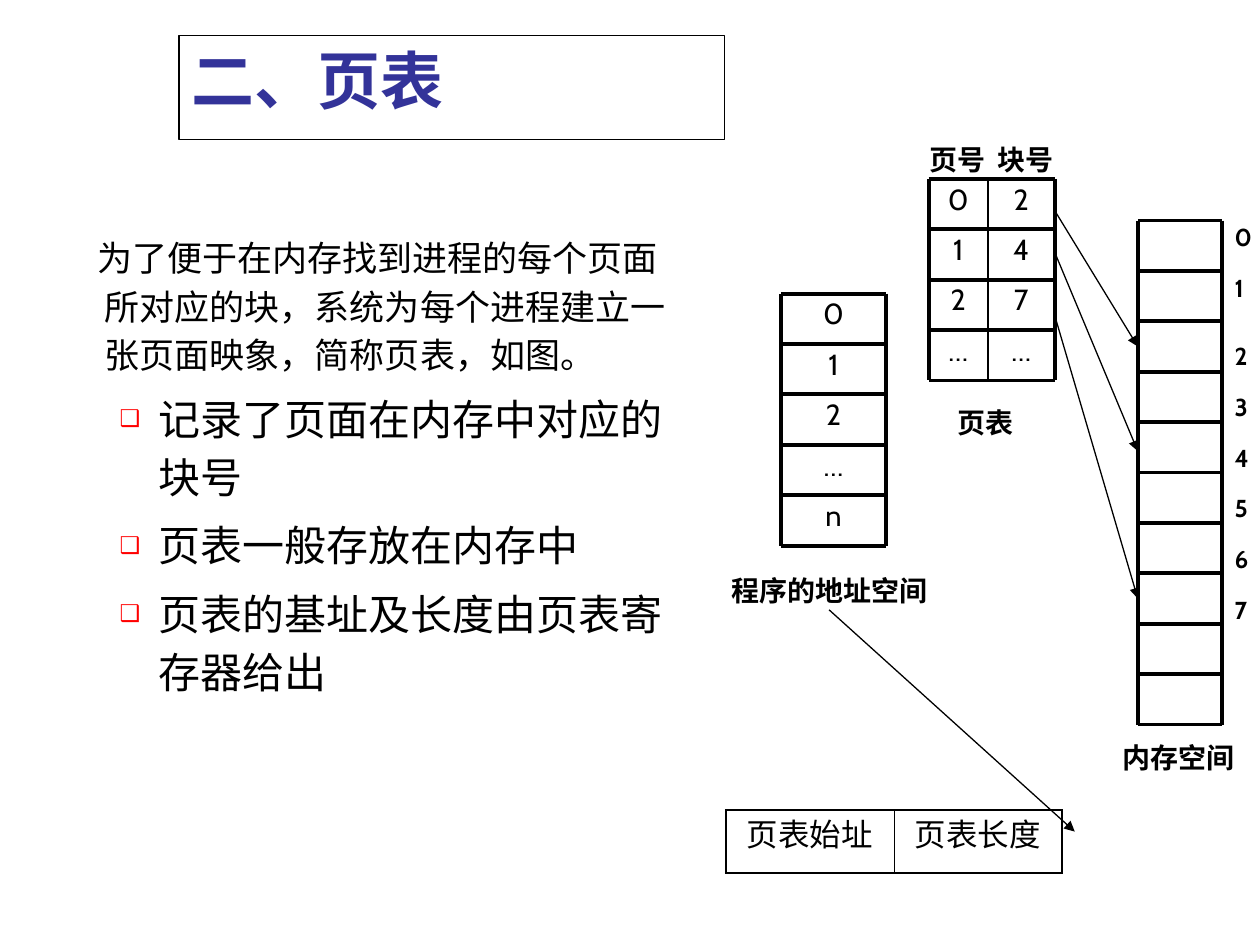
"""Build the page table slide with its address mapping diagram."""
from dataclasses import dataclass
from itertools import accumulate

from lxml.etree import SubElement
from pptx import Presentation
from pptx.dml.color import RGBColor
from pptx.enum.shapes import MSO_CONNECTOR as Connector
from pptx.enum.text import MSO_ANCHOR as Anchor, MSO_AUTO_SIZE as AutoSize, PP_ALIGN as Align
from pptx.oxml.ns import qn
from pptx.util import Inches, Pt


@dataclass(frozen=True)
class Theme:
    """Colours, fonts, type sizes and line widths."""
    ink: str = "000000"
    paper: str = "FFFFFF"
    heading: str = "333399"
    bullet: str = "FF0000"
    font: str = "Cabin"
    body_font: str = "Noto Sans CJK SC"
    title: float = 36
    point: float = 24
    intro: float = 20
    register: float = 18
    cell: float = 16.6
    label: float = 16
    index: float = 14
    heavy: float = 2.25
    inner: float = 1
    thin: float = 0.75
    frame: float = 1.08
    divider: float = 0.45


@dataclass(frozen=True)
class Grid:
    """A ruled block of equal rows."""
    left: float
    top: float
    widths: tuple[float, ...]
    pitch: float
    rows: tuple[tuple[str, ...], ...]


@dataclass(frozen=True)
class Label:
    """A bold caption of the diagram."""
    text: str
    left: float
    top: float
    width: float
    align: Align = Align.CENTER


@dataclass(frozen=True)
class Arrow:
    """A thin arrow between two points."""
    start: tuple[float, float]
    end: tuple[float, float]


THEME = Theme()
PROGRAM = Grid(6.2, 2.33, (0.83,), 0.4, (("0",), ("1",), ("2",), ("…",), ("n",)))
PAGE_TABLE = Grid(7.37, 1.42, (0.47, 0.53), 0.4,
                  (("0", "2"), ("1", "4"), ("2", "7"), ("…", "…")))
MEMORY = Grid(9.03, 1.75, (0.67,), 0.4, (("",),) * 10)
LABELS = (
    Label("程序的地址空间", 5.71, 4.5, 1.95, Align.LEFT),
    Label("页号\t块号", 7.28, 1.08, 1.42, Align.LEFT),
    Label("内存空间", 8.68, 5.83, 1.35),
    Label("页表", 7.28, 3.17, 1.08),
)
ARROWS = (
    Arrow((6.58, 4.84), (8.53, 6.6)),
    Arrow((8.37, 1.67), (9.03, 2.75)),
    Arrow((8.37, 2), (9.03, 3.58)),
    Arrow((8.37, 2.5), (9.03, 4.75)),
)
INTRO = "为了便于在内存找到进程的每个页面所对应的块，系统为每个进程建立一张页面映象，简称页表，如图。"
POINTS = ("记录了页面在内存中对应的块号", "页表一般存放在内存中", "页表的基址及长度由页表寄存器给出")
REGISTER = ("页表始址", "页表长度")


def style(para, size: float, bold: bool = False, color: str = THEME.ink,
          font: str = THEME.font) -> None:
    """Format every run of a paragraph."""
    for span in para.runs:
        span.font.size = Pt(size)
        span.font.bold = bold
        span.font.color.rgb = RGBColor.from_string(color)
        span.font.name = font
        SubElement(span.font._element, qn("a:ea"), typeface=font)


def place(shape, left: float, top: float, width: float, height: float) -> None:
    """Move and size a shape."""
    shape.left, shape.top = Inches(left), Inches(top)
    shape.width, shape.height = Inches(width), Inches(height)


def indent(para, margin: float, first: float) -> None:
    """Set the left margin and first line indent."""
    properties = para._p.get_or_add_pPr()
    properties.set("marL", str(Inches(margin)))
    properties.set("indent", str(Inches(first)))


def add_box(page, text: str, left: float, top: float, width: float, height: float):
    """Add a wrapping text box and return its text frame."""
    frame = page.shapes.add_textbox(*map(Inches, (left, top, width, height))).text_frame
    frame.word_wrap = True
    frame.text = text
    return frame


def add_line(page, start: tuple[float, float], end: tuple[float, float], weight: float):
    """Add a straight line without a shadow."""
    line = page.shapes.add_connector(Connector.STRAIGHT, *map(Inches, start + end))
    line.line.color.rgb = RGBColor.from_string(THEME.ink)
    line.line.width = Pt(weight)
    SubElement(line._element.spPr, qn("a:effectLst"))
    return line


def add_arrow(page, arrow: Arrow) -> None:
    """Add a line with a triangular head at its end."""
    line = add_line(page, arrow.start, arrow.end, THEME.thin)
    SubElement(line.line._get_or_add_ln(), qn("a:tailEnd"), type="triangle")


def add_grid(page, grid: Grid) -> None:
    """Write the cells of a grid and rule its lines."""
    edges = list(accumulate(grid.widths, initial=grid.left))
    levels = [grid.top + row * grid.pitch for row in range(len(grid.rows) + 1)]
    for level, row in zip(levels, grid.rows):
        for left, width, text in zip(edges, grid.widths, row):
            if text:
                para = add_box(page, text, left, level, width, grid.pitch).paragraphs[0]
                para.alignment = Align.CENTER
                para.line_spacing = 0.9
                style(para, THEME.cell)
    for level in levels:
        add_line(page, (edges[0], level), (edges[-1], level), THEME.heavy)
    for edge in edges:
        weight = THEME.heavy if edge in (edges[0], edges[-1]) else THEME.inner
        add_line(page, (edge, levels[0]), (edge, levels[-1]), weight)


def add_label(page, label: Label) -> None:
    """Add a bold caption."""
    frame = add_box(page, label.text, label.left, label.top, label.width, 0.37)
    frame.auto_size = AutoSize.SHAPE_TO_FIT_TEXT
    para = frame.paragraphs[0]
    para.alignment = label.align
    if "\t" in label.text:
        tabs = SubElement(para._p.get_or_add_pPr(), qn("a:tabLst"))
        SubElement(tabs, qn("a:tab"), pos=str(Inches(0.54)), algn="l")
    style(para, THEME.label, bold=True)


def add_indexes(page) -> None:
    """Number the memory blocks."""
    frame = add_box(page, "\n".join(map(str, range(8))), 9.7, 1.67, 0.5, 4.14)
    frame.auto_size = AutoSize.SHAPE_TO_FIT_TEXT
    for number, para in enumerate(frame.paragraphs):
        para.line_spacing = 1.8 if number == 2 else 1.2
        para.space_before = Pt(8.8 if number else 0)
        style(para, THEME.index, bold=True)


def add_register(page) -> None:
    """Add the table of the page table register."""
    table = page.shapes.add_table(1, 2, *map(Inches, (5.76, 6.43, 2.67, 0.5))).table
    table.first_row = table.horz_banding = False
    for column, text in enumerate(REGISTER):
        cell = table.cell(0, column)
        cell.text = text
        para = cell.text_frame.paragraphs[0]
        para.alignment = Align.CENTER
        style(para, THEME.register)
        properties = cell._tc.get_or_add_tcPr()
        inner_side = "R" if column == 0 else "L"
        for side in "LRTB":
            weight = THEME.divider if side == inner_side else THEME.frame
            border = SubElement(properties, qn(f"a:ln{side}"), w=str(Pt(weight)))
            SubElement(SubElement(border, qn("a:solidFill")), qn("a:srgbClr"), val=THEME.ink)
        cell.fill.background()


def fill_title(title) -> None:
    """Write the framed title."""
    place(title, 1.42, 0.28, 4.33, 0.83)
    title.fill.solid()
    title.fill.fore_color.rgb = RGBColor.from_string(THEME.paper)
    title.line.color.rgb = RGBColor.from_string(THEME.ink)
    title.line.width = Pt(THEME.thin)
    frame = title.text_frame
    frame.text = "二、页表"
    frame.auto_size = AutoSize.NONE
    frame.vertical_anchor = Anchor.TOP
    frame.paragraphs[0].alignment = Align.LEFT
    style(frame.paragraphs[0], THEME.title, bold=True, color=THEME.heading)


def fill_body(body) -> None:
    """Write the introduction and its bullet points."""
    place(body, 0.35, 1.78, 5.12, 4.73)
    frame = body.text_frame
    frame.text = "\n".join((INTRO, *POINTS))
    frame.auto_size = AutoSize.NONE
    for number, para in enumerate(frame.paragraphs):
        para.line_spacing = 1.15
        para.space_before = Pt(6 if number else 0)
        properties = para._p.get_or_add_pPr()
        if number:
            para.level = 1
            indent(para, 0.81, -0.31)
            SubElement(SubElement(properties, qn("a:buClr")), qn("a:srgbClr"), val=THEME.bullet)
            SubElement(properties, qn("a:buSzPct"), val="55000")
            SubElement(properties, qn("a:buChar"), char="❑")
        else:
            indent(para, 0.38, -0.06)
            SubElement(properties, qn("a:buNone"))
        style(para, THEME.point if number else THEME.intro, font=THEME.body_font)


def main() -> None:
    """Build and save the deck."""
    deck = Presentation()
    deck.slide_width, deck.slide_height = Inches(10), Inches(7.5)
    page = deck.slides.add_slide(deck.slide_layouts[1])
    fill_title(page.shapes.title)
    fill_body(page.placeholders[1])
    add_register(page)
    for grid in (PAGE_TABLE, PROGRAM, MEMORY):
        add_grid(page, grid)
    add_indexes(page)
    for arrow in ARROWS:
        add_arrow(page, arrow)
    for label in LABELS:
        add_label(page, label)
    deck.save("out.pptx")


if __name__ == "__main__":
    main()
